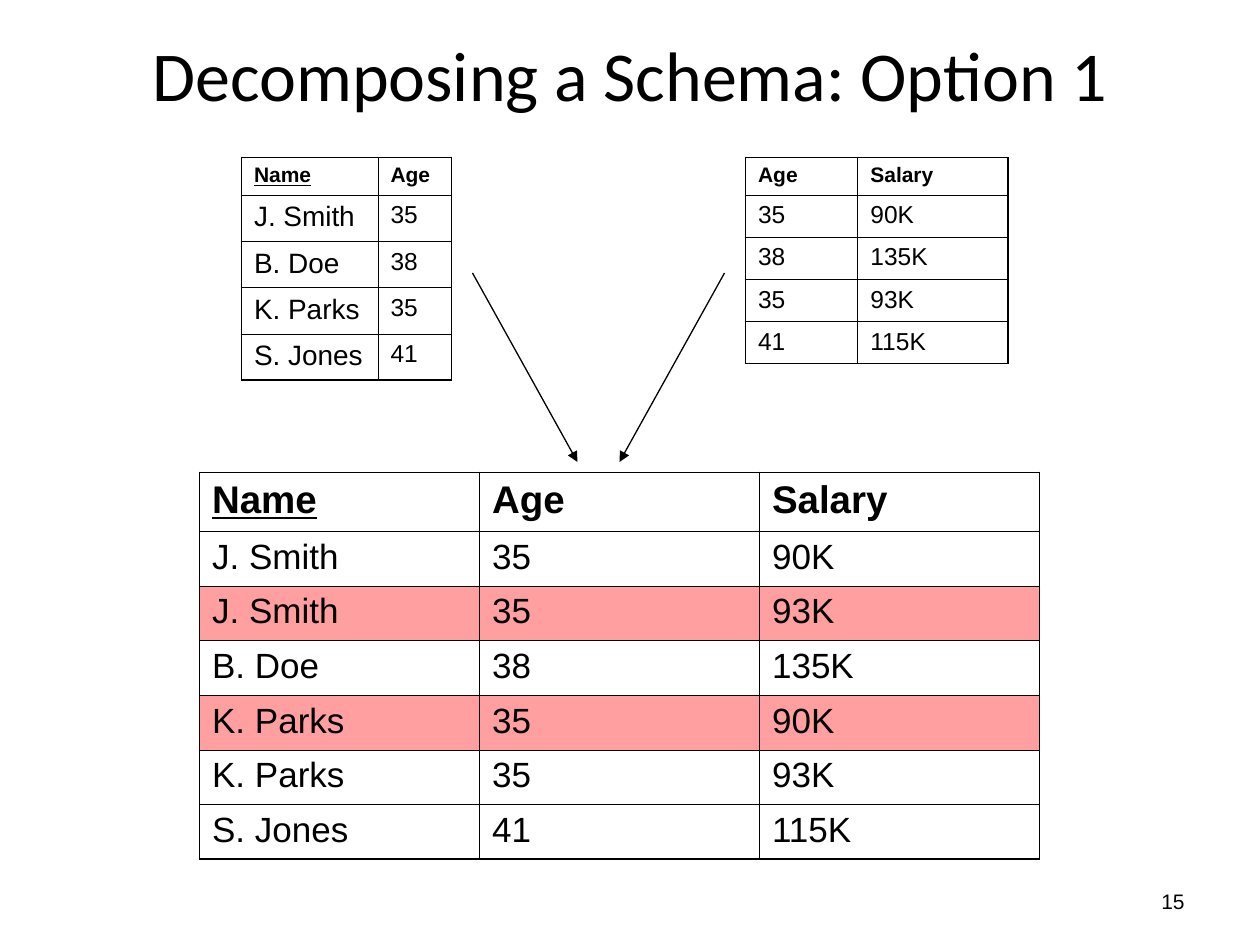
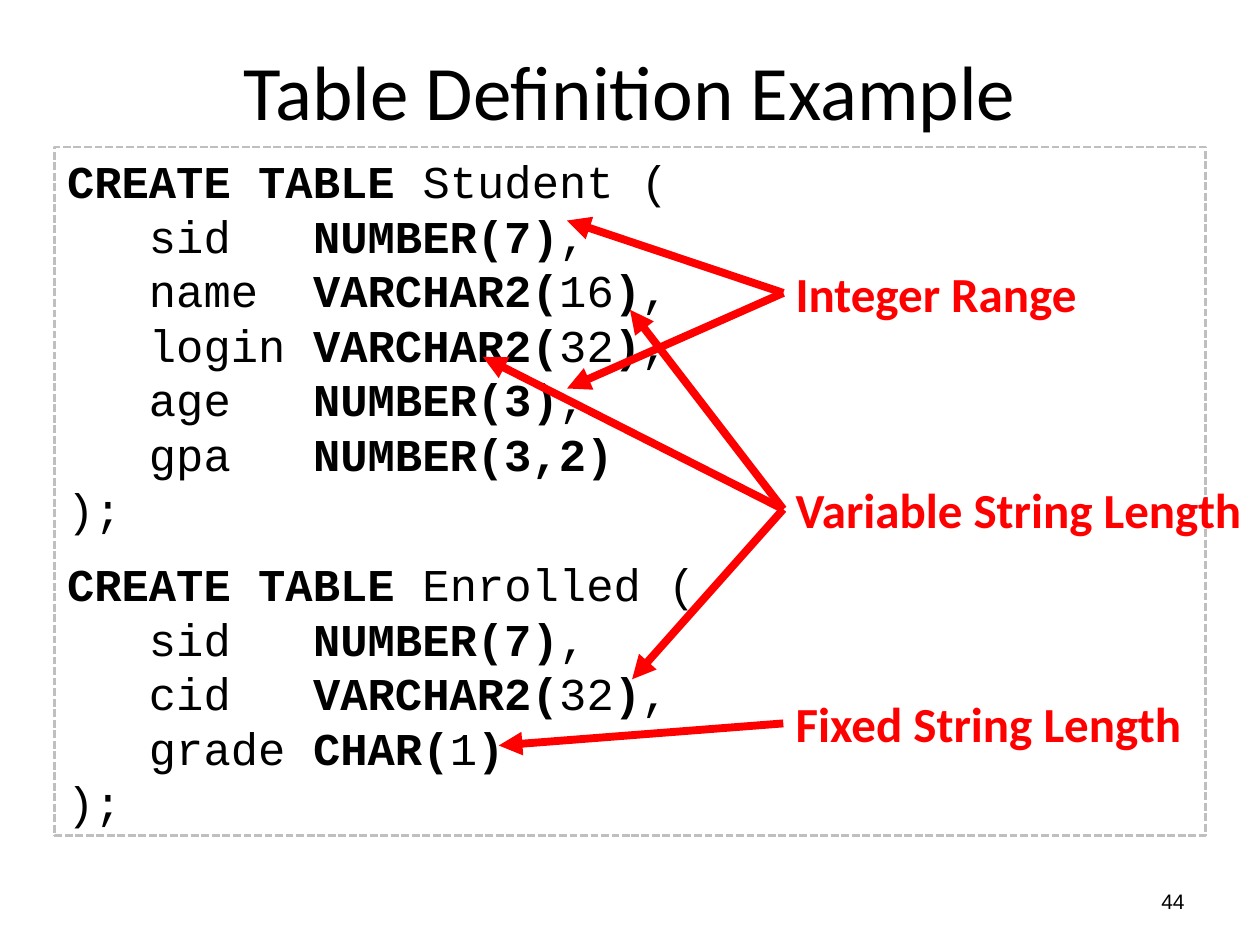
from dataclasses import dataclass

from lxml import etree
from pptx import Presentation
from pptx import util as u
from pptx.dml.color import RGBColor
from pptx.enum import dml, shapes, text
from pptx.oxml import ns


@dataclass(frozen=True)
class Theme:
    ink: str = "000000"
    highlight: str = "FF9F9F"
    callout: str = "FF0000"
    frame: str = "BFBFBF"
    title_font: str = "Calibri"
    table_font: str = "Arial"
    code_font: str = "Courier New"
    code_size: float = 26
    code_gap: float = 12
    callout_size: float = 28
    number_size: float = 12
    thin_line: float = 0.75
    callout_line: float = 4.5
    frame_line: float = 1.5
    inner_border: float = 0.45
    outer_border: float = 1.08


THEME = Theme()
COLUMNS, ROWS = 120, 90
CELL = u.Inches(10) // COLUMNS

JOINED_ROWS = [
    ("Name", "Age", "Salary"),
    ("J. Smith", "35", "90K"),
    ("J. Smith", "35", "93K"),
    ("B. Doe", "38", "135K"),
    ("K. Parks", "35", "90K"),
    ("K. Parks", "35", "93K"),
    ("S. Jones", "41", "115K"),
]
NAME_AGE_ROWS = [
    ("Name", "Age"),
    ("J. Smith", "35"),
    ("B. Doe", "38"),
    ("K. Parks", "35"),
    ("S. Jones", "41"),
]
AGE_SALARY_ROWS = [
    ("Age", "Salary"),
    ("35", "90K"),
    ("38", "135K"),
    ("35", "93K"),
    ("41", "115K"),
]
STATEMENTS = [
    """**CREATE TABLE **Student (
   sid   **NUMBER(7)**,
   name  **VARCHAR2(**16**)**,
   login **VARCHAR2(**32**)**,
   age   **NUMBER(3)**,
   gpa   **NUMBER(3,2)**
);""",
    """**CREATE TABLE** Enrolled (
   sid   **NUMBER(7)**,
   cid   **VARCHAR2(**32**)**,
   grade **CHAR(**1**)**
);""",
]
CALLOUTS = [
    ("Integer Range", 24.5, 29.3, [(54, 21), (54, 37)]),
    ("Variable String Length", 45.1, 45.1, [(60.2, 64.7), (60, 29.5), (46, 34)]),
    ("Fixed String Length", 65.5, 39.2, [(47.5, 71)]),
]


def grid(*lengths):
    return [u.Emu(round(length * CELL)) for length in lengths]


def rgb(color):
    return RGBColor.from_string(color)


def write(para, words, *, font, size, color=THEME.ink, bold=False, underline=False):
    span = para.add_run()
    span.text = words
    span.font.name = font
    span.font.size = u.Pt(size)
    span.font.color.rgb = rgb(color)
    span.font.bold = bold
    span.font.underline = underline


def add_page(deck, title, title_rows, title_size, number):
    page = deck.slides.add_slide(deck.slide_layouts[5])
    heading = page.shapes.title
    heading.left, heading.top, heading.width, heading.height = grid(6, 1, 108, title_rows)
    heading.text_frame.vertical_anchor = text.MSO_ANCHOR.MIDDLE
    para = heading.text_frame.paragraphs[0]
    para.alignment = text.PP_ALIGN.CENTER
    write(para, title, font=THEME.title_font, size=title_size)

    box = page.shapes.add_textbox(*grid(86, 83.4, 28, 4.8))
    box.text_frame.word_wrap = True
    box.text_frame.vertical_anchor = text.MSO_ANCHOR.MIDDLE
    para = box.text_frame.paragraphs[0]
    para.alignment = text.PP_ALIGN.RIGHT
    write(para, str(number), font=THEME.table_font, size=THEME.number_size)
    return page


def set_borders(cell, outer_sides):
    properties = cell._tc.get_or_add_tcPr()
    for side in "LRTB":
        points = THEME.outer_border if side in outer_sides else THEME.inner_border
        line = etree.SubElement(properties, ns.qn(f"a:ln{side}"), w=str(u.Pt(points)))
        fill = etree.SubElement(line, ns.qn("a:solidFill"))
        etree.SubElement(fill, ns.qn("a:srgbClr"), val=THEME.ink)


def add_data_table(page, left, top, widths, heights, rows, header_size, body_sizes, marked=()):
    frame = page.shapes.add_table(
        len(rows), len(widths), *grid(left, top, sum(widths), sum(heights)))
    table = frame.table
    table.first_row = table.horz_banding = False
    for column, width in zip(table.columns, grid(*widths)):
        column.width = width
    for row, height in zip(table.rows, grid(*heights)):
        row.height = height

    for r, values in enumerate(rows):
        for c, value in enumerate(values):
            cell = table.cell(r, c)
            edges = {"L": c == 0, "R": c == len(widths) - 1,
                     "T": r == 0, "B": r == len(rows) - 1}
            set_borders(cell, [side for side, outer in edges.items() if outer])
            if r in marked:
                cell.fill.solid()
                cell.fill.fore_color.rgb = rgb(THEME.highlight)
            else:
                cell.fill.background()
            size = header_size if r == 0 else body_sizes[c]
            para = cell.text_frame.paragraphs[0]
            para.space_before = u.Pt(size / 4)
            write(para, value, font=THEME.table_font, size=size,
                  bold=r == 0, underline=value == "Name")


def add_arrow(page, start, end, color, points, source=None):
    arrow = page.shapes.add_connector(
        shapes.MSO_CONNECTOR.STRAIGHT, *grid(*start, *end))
    if source is not None:
        arrow.begin_connect(source, 1)
    arrow.line.color.rgb = rgb(color)
    arrow.line.width = u.Pt(points)
    etree.SubElement(arrow.line._get_or_add_ln(), ns.qn("a:tailEnd"), type="triangle")
    etree.SubElement(arrow._element.spPr, ns.qn("a:effectLst"))


def add_code(page, left, top, width, height, statements):
    box = page.shapes.add_shape(
        shapes.MSO_SHAPE.RECTANGLE, *grid(left, top, width, height))
    box.shadow.inherit = False
    box.fill.background()
    box.line.color.rgb = rgb(THEME.frame)
    box.line.width = u.Pt(THEME.frame_line)
    box.line.dash_style = dml.MSO_LINE.SQUARE_DOT
    frame = box.text_frame
    frame.word_wrap = True
    frame.vertical_anchor = text.MSO_ANCHOR.TOP
    para = None
    for statement in statements:
        for number, line in enumerate(statement.splitlines()):
            gap = THEME.code_gap if para is not None and number == 0 else 0
            para = frame.paragraphs[0] if para is None else frame.add_paragraph()
            para.alignment = text.PP_ALIGN.LEFT
            para.space_before = u.Pt(gap)
            for part, words in enumerate(line.split("**")):
                if words:
                    write(para, words, font=THEME.code_font,
                          size=THEME.code_size, bold=part % 2 == 1)


def add_callout(page, words, top, width, targets):
    left, height = 74.6, 6.8
    box = page.shapes.add_textbox(*grid(left, top, width, height))
    box.text_frame.word_wrap = False
    write(box.text_frame.paragraphs[0], words, font=THEME.title_font,
          size=THEME.callout_size, color=THEME.callout, bold=True)
    for target in targets:
        add_arrow(page, (left, top + height / 2), target,
                  THEME.callout, THEME.callout_line, source=box)


def build_decomposition(deck):
    page = add_page(deck, "Decomposing a Schema: Option 1", 12, 40, 15)
    add_data_table(page, 19, 45, [80 / 3] * 3, [5.6] + [5.2] * 6,
                   JOINED_ROWS, 22, (20, 20, 20), marked=(2, 4))
    add_data_table(page, 23, 15, [13, 7], [3.6] + [4.4] * 4,
                   NAME_AGE_ROWS, 12, (16, 14))
    add_data_table(page, 71, 15, [10.7, 14.3], [3.6] + [4] * 4,
                   AGE_SALARY_ROWS, 12, (14, 14))
    for start, end in (45, 55), (69, 59):
        add_arrow(page, (start, 26), (end, 44), THEME.ink, THEME.thin_line)


def build_definition(deck):
    page = add_page(deck, "Table Definition Example", 15, 44, 44)
    add_code(page, 5.2, 14, 109.6, 65.6, STATEMENTS)
    for callout in CALLOUTS:
        add_callout(page, *callout)


def main():
    deck = Presentation()
    deck.slide_width, deck.slide_height = grid(COLUMNS, ROWS)
    build_decomposition(deck)
    build_definition(deck)
    deck.save("out.pptx")


if __name__ == "__main__":
    main()
